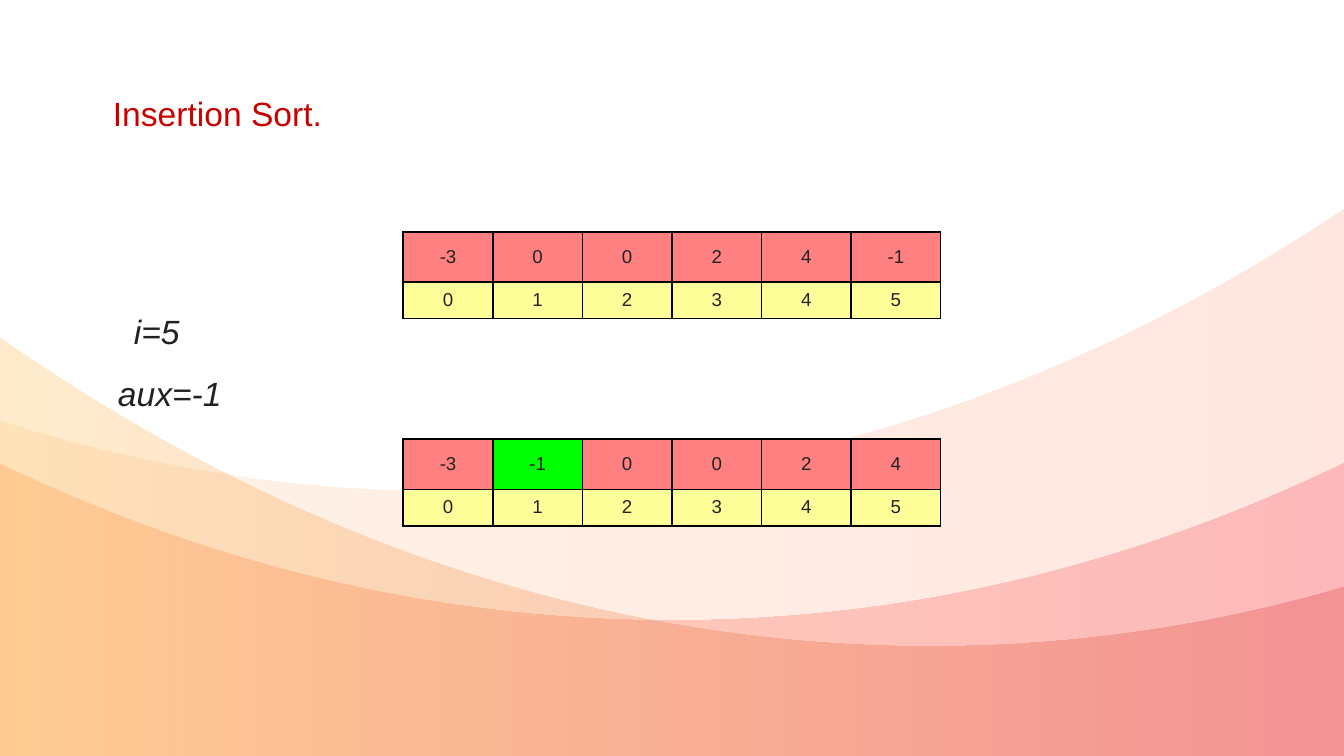
from lxml.etree import SubElement
from pptx import Presentation
from pptx.dml.color import RGBColor
from pptx.enum.text import MSO_ANCHOR, MSO_AUTO_SIZE, PP_ALIGN
from pptx.oxml.ns import qn
from pptx.util import Cm, Pt

FONT = "Arial"
NO_GRID_STYLE = "{2D5ABB26-0587-4C30-8999-92F81FD0307C}"
BLACK = RGBColor(0x00, 0x00, 0x00)
INK = RGBColor(0x22, 0x22, 0x22)
TITLE_RED = RGBColor(0xCA, 0x00, 0x00)
VALUE_PINK = RGBColor(0xFF, 0x80, 0x80)
INDEX_YELLOW = RGBColor(0xFF, 0xFF, 0x99)
INSERTED_GREEN = RGBColor(0x00, 0xFF, 0x00)
PEACH = RGBColor(0xFF, 0xC4, 0x86)
CORAL = RGBColor(0xFF, 0x86, 0x6B)
ORANGE = RGBColor(0xFF, 0x6A, 0x00)
CRIMSON = RGBColor(0xF2, 0x01, 0x22)
AMBER = RGBColor(0xFF, 0x9F, 0x00)
RED = RGBColor(0xCC, 0x00, 0x00)

SLIDE_W, SLIDE_H = 25.4, 14.29
WAVES = [
    ([(0, 7.95), (2.74, 8.84), (5.61, 9.3), (8.56, 9.3),
      (14.55, 9.3), (20.27, 7.39), (25.4, 3.96)], PEACH, CORAL),
    ([(0, 8.76), (3.99, 10.69), (8.26, 11.73), (12.7, 11.73),
      (17.15, 11.73), (21.41, 10.69), (25.4, 8.76)], ORANGE, CRIMSON),
    ([(0, 6.38), (5.31, 10.11), (11.28, 12.22), (17.58, 12.22),
      (20.24, 12.22), (22.89, 11.84), (25.4, 11.1)], AMBER, RED),
]
BEFORE = [-3, 0, 0, 2, 4, -1]
AFTER = [-3, -1, 0, 0, 2, 4]
INSERTED_AT = 1
VALUE_H, INDEX_H, GAP_H = 0.95, 0.69, 0.76


def bend_crest(sp):
    """Turn the first six straight segments into two cubic curves."""
    outline = next(sp._element.iter(qn("a:path")))
    lines = outline.findall(qn("a:lnTo"))
    for first in (0, 3):
        curve = outline.makeelement(qn("a:cubicBezTo"))
        lines[first].addprevious(curve)
        for line in lines[first:first + 3]:
            curve.append(line[0])
            outline.remove(line)


def add_wave(s, left, top, width, height, crest, start, end):
    """Fill the area below a two-part curve with a translucent gradient."""
    outline = crest + [(width, height), (0, height)]
    points = [(Cm(left + x), Cm(top + y)) for x, y in outline]
    builder = s.shapes.build_freeform(*points[0])
    builder.add_line_segments(points[1:], close=True)
    sp = builder.convert_to_shape()
    bend_crest(sp)
    sp.shadow.inherit = False
    sp.line.fill.background()
    sp.fill.gradient()
    sp.fill.gradient_angle = 0
    for stop, position, color in zip(sp.fill.gradient_stops, (0, 1), (start, end)):
        stop.position = position
        stop.color.rgb = color
    for color in sp._element.spPr.iter(qn("a:srgbClr")):
        SubElement(color, qn("a:alpha"), val="20000")


def fill_text(sp, left, top, width, text, color, italic=False):
    """Place a one-line text shape and format it."""
    sp.left, sp.top, sp.width, sp.height = Cm(left), Cm(top), Cm(width), Cm(1.02)
    tf = sp.text_frame
    tf.word_wrap = False
    tf.auto_size = MSO_AUTO_SIZE.NONE
    tf.vertical_anchor = MSO_ANCHOR.TOP
    tf.text = text
    p = tf.paragraphs[0]
    p.alignment = PP_ALIGN.LEFT
    p.font.name, p.font.size = FONT, Pt(18)
    p.font.italic = italic
    p.font.color.rgb = color


def add_variables(s, left, top):
    """Add the two loop variables, one below the other."""
    for dx, dy, width, text in ((0.3, 0, 1.37, "i=5"), (0, 1.16, 2.59, "aux=-1")):
        box = s.shapes.add_textbox(0, 0, 0, 0)
        fill_text(box, left + dx, top + dy, width, text, INK, italic=True)


def format_cell(cell, value, color):
    """Write a centred value in a filled cell with black borders."""
    tcPr = cell._tc.get_or_add_tcPr()
    for side in "LRTB":
        ln = SubElement(tcPr, qn(f"a:ln{side}"), w=str(Pt(1)))
        SubElement(SubElement(ln, qn("a:solidFill")), qn("a:srgbClr"), val=str(BLACK))
    cell.fill.solid()
    cell.fill.fore_color.rgb = color
    cell.vertical_anchor = MSO_ANCHOR.MIDDLE
    cell.text = str(value)
    p = cell.text_frame.paragraphs[0]
    p.alignment = PP_ALIGN.CENTER
    p.font.name, p.font.size = FONT, Pt(10)
    p.font.color.rgb = INK


def clear_gap_cell(cell):
    """Leave a cell unfilled, with an empty line low enough for its row."""
    cell.fill.background()
    SubElement(cell.text_frame.paragraphs[0]._p, qn("a:endParaRPr"), sz="1000")


def add_arrays(s, left, top, width):
    """Add the array before and after the insertion as one table."""
    array_rows = [VALUE_H, INDEX_H]
    heights = array_rows + [GAP_H] * 3 + array_rows
    frame = s.shapes.add_table(len(heights), len(BEFORE), Cm(left), Cm(top),
                               Cm(width), Cm(sum(heights)))
    table = frame.table
    table.first_row = table.horz_banding = False
    table._tbl.tblPr.find(qn("a:tableStyleId")).text = NO_GRID_STYLE
    for column in table.columns:
        column.width = Cm(width / len(BEFORE))
    for row, height in zip(table.rows, heights):
        row.height = Cm(height)
    for cell in table.iter_cells():
        cell.margin_top = cell.margin_bottom = 0
    for first, values, marked in ((0, BEFORE, None), (5, AFTER, INSERTED_AT)):
        for i, value in enumerate(values):
            color = INSERTED_GREEN if i == marked else VALUE_PINK
            format_cell(table.cell(first, i), value, color)
            format_cell(table.cell(first + 1, i), i, INDEX_YELLOW)
    for row in range(2, 5):
        for cell in table.rows[row].cells:
            clear_gap_cell(cell)


def main():
    """Build the insertion sort slide."""
    prs = Presentation()
    prs.slide_width, prs.slide_height = Cm(SLIDE_W), Cm(SLIDE_H)
    s = prs.slides.add_slide(prs.slide_layouts[5])
    for crest, start, end in WAVES:
        add_wave(s, 0, 0, SLIDE_W, SLIDE_H, crest, start, end)
    fill_text(s.shapes.title, 1.88, 1.62, 4.47, "Insertion Sort.", TITLE_RED)
    add_variables(s, 1.98, 5.76)
    add_arrays(s, 7.62, 4.38, 10.16)
    prs.save("out.pptx")


if __name__ == "__main__":
    main()
